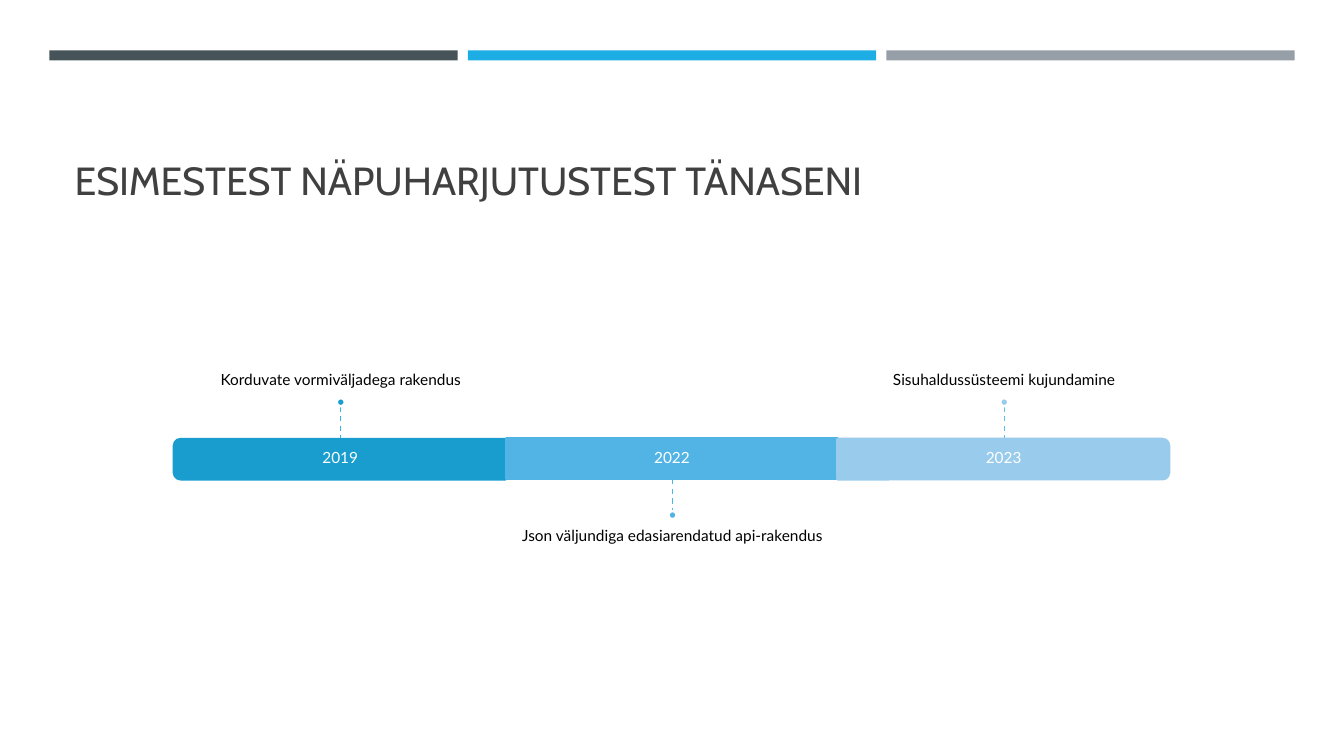
from dataclasses import dataclass

from lxml.etree import SubElement
from pptx import Presentation
from pptx.dml.color import RGBColor
from pptx.enum.dml import MSO_LINE
from pptx.enum.shapes import MSO_CONNECTOR, MSO_SHAPE
from pptx.enum.text import MSO_ANCHOR, MSO_AUTO_SIZE, PP_ALIGN
from pptx.oxml.ns import qn
from pptx.shapes.autoshape import Shape
from pptx.slide import Slide
from pptx.util import Emu, Pt

SCALE = 9144
BAND_X, BAND_Y, BAND_W, BAND_H = 173, 435, 329, 40
LABEL_W, LABEL_H = 548, 139
STEM, DOT, PAD = 32, 8, 9


@dataclass(frozen=True)
class Stage:
    year: str
    label: str
    fill: str
    stem: str
    turn: int | None
    above: bool


STAGES = [
    Stage("2019", "Korduvate vormiväljadega rakendus", "199DCF", "36B3E9", 270, True),
    Stage("2022", "Json väljundiga edasiarendatud api-rakendus", "52B3E5", "48B8EC", None, False),
    Stage("2023", "Sisuhaldussüsteemi kujundamine", "99CBEC", "5ABEEF", 90, True),
]


def px(value: int) -> Emu:
    return Emu(value * SCALE)


def tint(code: str) -> RGBColor:
    return RGBColor.from_string(code)


def write(shape: Shape, text: str, *, size: int = 11, font: str = "Lato",
          color: str = "000000", align: PP_ALIGN = PP_ALIGN.CENTER,
          anchor: MSO_ANCHOR = MSO_ANCHOR.MIDDLE, space: float = 0.9,
          pads: tuple[int, int, int, int] = (PAD, PAD, PAD, PAD)) -> None:
    frame = shape.text_frame
    frame.word_wrap = True
    frame.auto_size = MSO_AUTO_SIZE.NONE
    frame.vertical_anchor = anchor
    frame.margin_left, frame.margin_top, frame.margin_right, frame.margin_bottom = map(px, pads)
    line = frame.paragraphs[0]
    line.alignment = align
    line.line_spacing = space
    run = line.add_run()
    run.text = text
    run.font.size = Pt(size)
    run.font.name = font
    run.font.color.rgb = tint(color)


def block(slide: Slide, kind: MSO_SHAPE, x: int, y: int, w: int, h: int,
          fill: str, edge: str | None = None) -> Shape:
    shape = slide.shapes.add_shape(kind, px(x), px(y), px(w), px(h))
    shape.shadow.inherit = False
    shape.fill.solid()
    shape.fill.fore_color.rgb = tint(fill)
    if edge:
        shape.line.color.rgb = tint(edge)
        shape.line.width = Pt(1.75)
    else:
        shape.line.fill.background()
    return shape


def label(slide: Slide, x: int, y: int, w: int, h: int) -> Shape:
    return slide.shapes.add_textbox(px(x), px(y), px(w), px(h))


def stem(slide: Slide, x: int, start: int, end: int, color: str) -> None:
    line = slide.shapes.add_connector(MSO_CONNECTOR.STRAIGHT, px(x), px(start), px(x), px(end))
    line.line.color.rgb = tint(color)
    line.line.width = Pt(1)
    line.line.dash_style = MSO_LINE.DASH
    SubElement(line._element.spPr, qn("a:effectLst"))


def band(slide: Slide, stage: Stage, x: int) -> None:
    if stage.turn is None:
        block(slide, MSO_SHAPE.RECTANGLE, x, BAND_Y, BAND_W, BAND_H, stage.fill, stage.fill)
    else:
        shift = (BAND_W - BAND_H) // 2
        shape = block(slide, MSO_SHAPE.ROUND_2_SAME_RECTANGLE, x + shift, BAND_Y - shift,
                      BAND_H, BAND_W, stage.fill, stage.fill)
        shape.rotation = stage.turn
    write(label(slide, x, BAND_Y, BAND_W, BAND_H), stage.year, color="FFFFFF")


def draw(slide: Slide, stage: Stage, x: int) -> None:
    mid = x + (BAND_W + 1) // 2
    if stage.above:
        start, end = BAND_Y - STEM, BAND_Y
        dot = start - DOT
        top = dot - LABEL_H
        anchor, pads = MSO_ANCHOR.BOTTOM, (0, 0, 0, PAD)
    else:
        start, end = BAND_Y + BAND_H, BAND_Y + BAND_H + STEM
        dot = end
        top = dot + DOT
        anchor, pads = MSO_ANCHOR.TOP, (0, PAD, 0, 0)
    band(slide, stage, x)
    write(label(slide, mid - LABEL_W // 2, top, LABEL_W, LABEL_H), stage.label,
          anchor=anchor, pads=pads)
    stem(slide, mid, start, end, stage.stem)
    block(slide, MSO_SHAPE.OVAL, mid - DOT // 2, dot, DOT, DOT, stage.fill, "FFFFFF")


def main() -> None:
    deck = Presentation()
    deck.slide_width, deck.slide_height = px(1333), px(750)
    slide = deck.slides.add_slide(deck.slide_layouts[5])
    for i, fill in enumerate(("465359", "1CADE4", "969FA7")):
        block(slide, MSO_SHAPE.RECTANGLE, 49 + i * 415, 50, 405, 10, fill)
    title = slide.shapes.title
    title.left, title.top, title.width, title.height = map(px, (64, 77, 1206, 130))
    write(title, "ESIMESTEST NÄPUHARJUTUSTEST TÄNASENI", size=28, font="Cabin",
          color="404040", align=PP_ALIGN.LEFT, anchor=MSO_ANCHOR.BOTTOM,
          space=1.0, pads=(10, 5, 10, 5))
    for i, stage in enumerate(STAGES):
        draw(slide, stage, BAND_X + i * BAND_W)
    deck.save("out.pptx")


if __name__ == "__main__":
    main()
